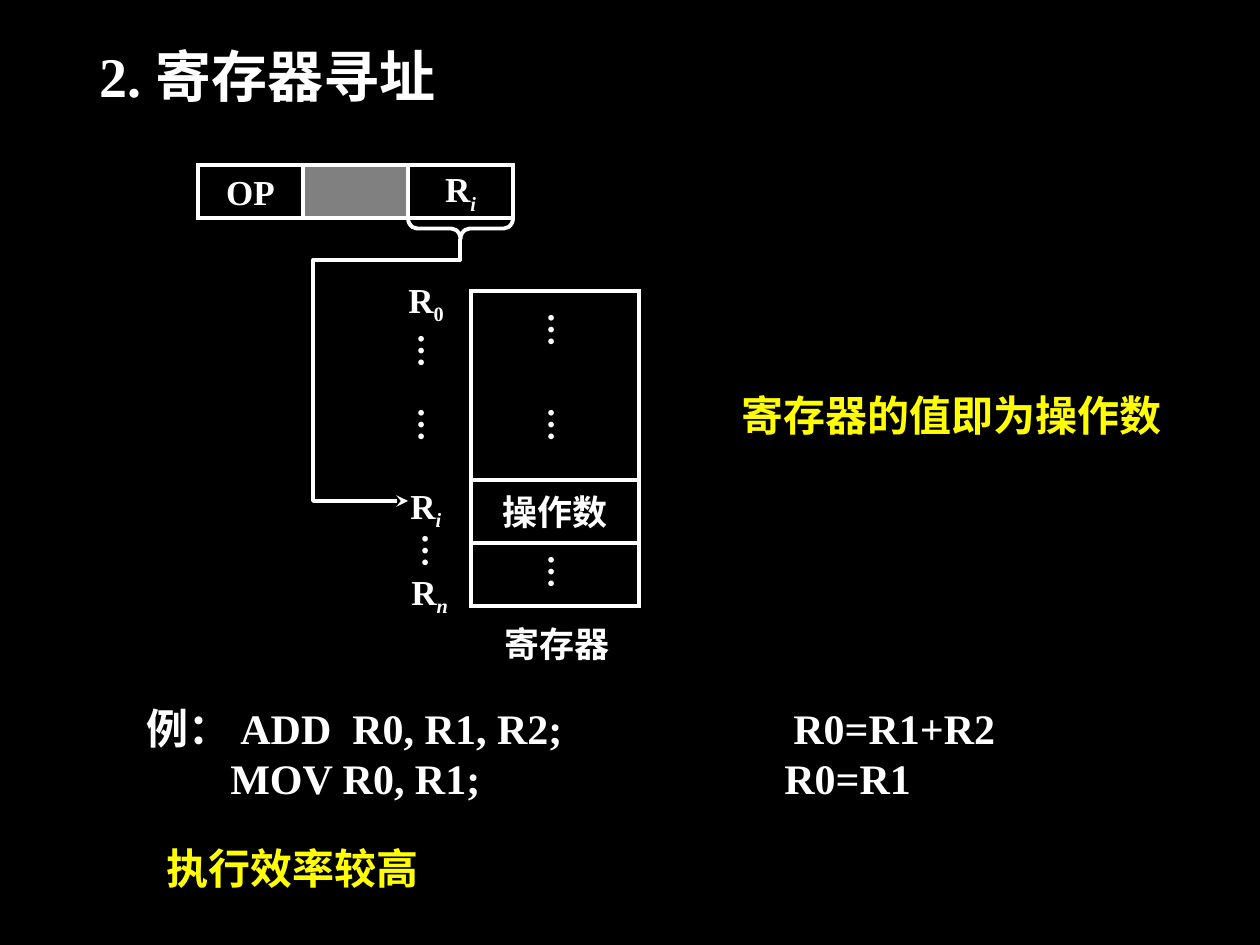
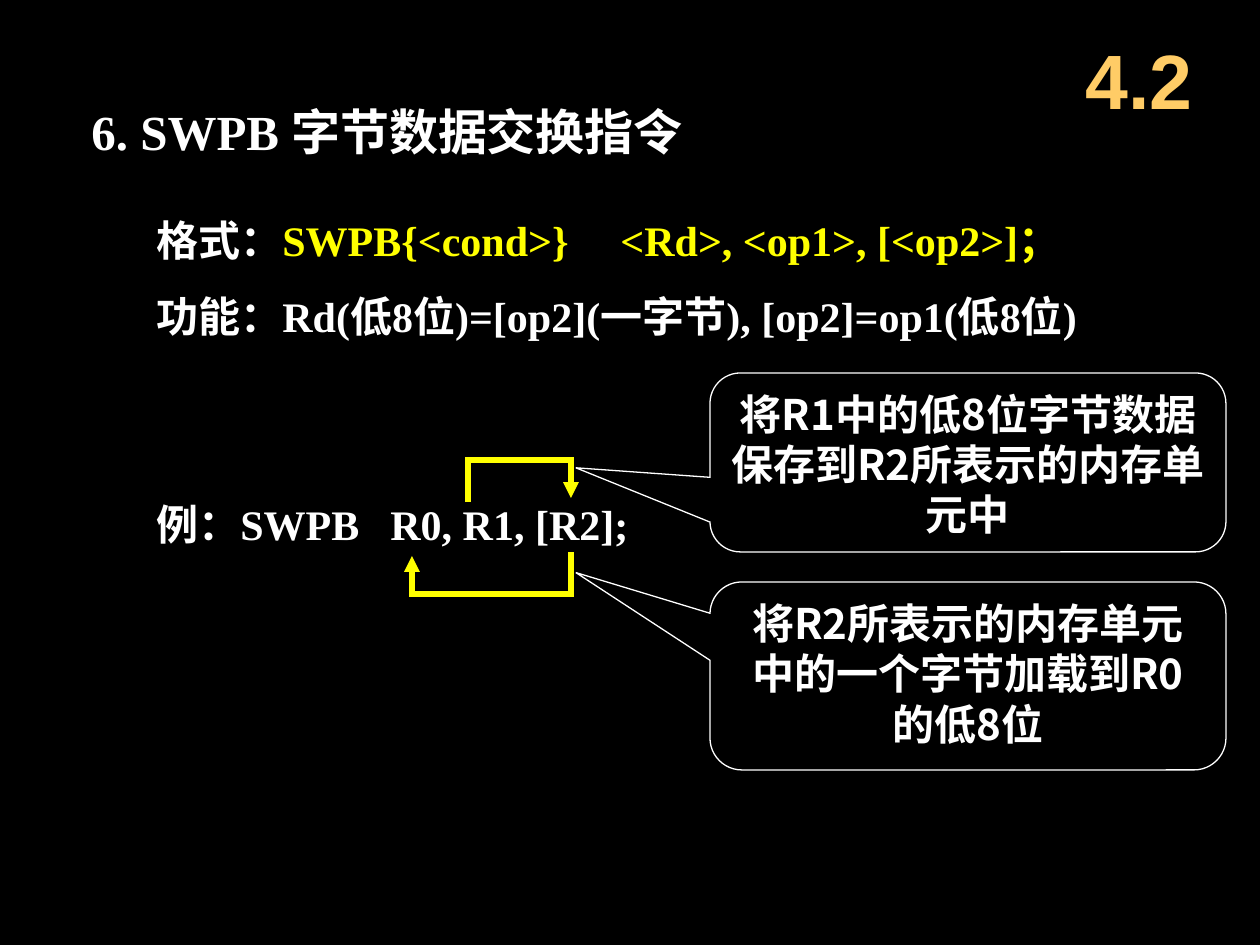
from lxml.etree import SubElement
from pptx import Presentation
from pptx.dml.color import RGBColor
from pptx.enum.shapes import MSO_SHAPE
from pptx.enum.text import MSO_ANCHOR, MSO_AUTO_SIZE, PP_ALIGN
from pptx.oxml.ns import qn
from pptx.util import Emu, Pt

COLORS = {"black": "000000", "white": "FFFFFF", "yellow": "FFFF00", "gold": "FFCC66"}
SERIF, SANS, ARIAL = "Times New Roman", "Noto Sans CJK SC", "Arial"
PX = 914400 / 126

TITLE = {"wrap": False}
BODY = {"size": 24}
NOTE = {"size": 24, "color": "yellow"}
LABEL = {"size": 20, "wrap": False}
CALLOUT = {"size": 24, "font": SANS, "align": PP_ALIGN.CENTER, "grow": False}
CELL = {"size": 20, "wrap": False, "align": PP_ALIGN.CENTER,
        "anchor": MSO_ANCHOR.MIDDLE, "grow": False}

REGISTER_TEXTS = [
    ((87, 35, 400, 81), ["2. 寄存器寻址"], {**TITLE, "size": 32}),
    ((729, 383, 496, 63), ["寄存器的值即为操作数"], NOTE),
    ((134, 696, 1072, 113),
     ["例：\tADD\tR0, R1, R2;\tR0=R1+R2", "\tMOV R0, R1;\tR0=R1"],
     {**BODY, "tabs": [(94, 206, 647), (84, 638)]}),
    ((154, 836, 912, 63), ["执行效率较高"], {**NOTE, "font": SANS}),
    ((492, 616, 168, 55), ["寄存器"], {"size": 20}),
]
INSTRUCTION = {"left": 198, "top": 165, "width": 105, "height": 53}
INSTRUCTION_FIELDS = ["OP", None, [("R", {}), ("i", {"sub": True, "italic": True})]]
MEMORY = {"left": 471, "top": 291, "width": 168}
MEMORY_CELLS = [(189, None), (63, "操作数"), (63, None)]
REGISTER_NAMES = [((396, 272), "0", False), ((398, 478), "i", True), ((399, 564), "n", True)]
REGISTER_NAME_SIZE = (76, 60)
ELLIPSES = [(523, 300), (523, 395), (523, 542), (393, 321), (393, 395), (397, 521)]
REGISTER_PATH = [(460, 239), (460, 260), (313, 260), (313, 501), (408, 501)]

SWAP_TEXTS = [
    ((79, 95, 650, 72), ["6. SWPB 字节数据交换指令"], {**TITLE, "size": 28}),
    ((144, 208, 1012, 190),
     [[("格式：", {}), ("SWPB{<cond>}\t<Rd>, <op1>, [<op2>]；", {"color": "yellow"})],
      "功能：Rd(低8位)=[op2](一字节), [op2]=op1(低8位)"],
     {**BODY, "tabs": [(464,), ()], "gap": 15}),
    ((144, 492, 665, 63), ["例：SWPB\tR0, R1, [R2];"], {**BODY, "tabs": [(234,)]}),
    ((1060, 21, 158, 116), ["4.2"],
     {"size": 44, "font": ARIAL, "color": "gold", "align": PP_ALIGN.CENTER,
      "anchor": MSO_ANCHOR.MIDDLE, "grow": False}),
]
SWAP_PATHS = [
    [(468, 502), (468, 460), (571, 460), (571, 498)],
    [(571, 552), (571, 594), (412, 594), (412, 556)],
]
SWAP_CALLOUTS = [
    ((710, 582, 516, 188), (-0.76, -0.55, 0.17),
     "将R2所表示的内存单元中的一个字节加载到R0的低8位"),
    ((710, 373, 516, 179), (-0.76, 0.03, 0.17),
     "将R1中的低8位字节数据保存到R2所表示的内存单元中"),
]


def px(value):
    return Emu(round(value * PX))


def rgb(name):
    return RGBColor.from_string(COLORS[name])


def add_run(paragraph, text, style):
    run = paragraph.add_run()
    run.text = text
    formats = {"name": style.get("font", SERIF), "size": Pt(style["size"]),
               "bold": True, "italic": style.get("italic")}
    for name, value in formats.items():
        setattr(run.font, name, value)
    run.font.color.rgb = rgb(style.get("color", "white"))
    properties = run.font._element
    SubElement(properties, qn("a:ea")).set("typeface", SANS)
    if style.get("sub"):
        properties.set("baseline", "-25000")


def add_tabs(paragraph, stops):
    tab_list = SubElement(paragraph._p.get_or_add_pPr(), qn("a:tabLst"))
    for stop in stops:
        tab = SubElement(tab_list, qn("a:tab"))
        tab.set("pos", str(px(stop)))
        tab.set("algn", "l")


def write(shape, paragraphs, style):
    frame = shape.text_frame
    formats = {
        "word_wrap": style.get("wrap", True),
        "vertical_anchor": style.get("anchor", MSO_ANCHOR.TOP),
        "auto_size": MSO_AUTO_SIZE.SHAPE_TO_FIT_TEXT if style.get("grow", True)
        else MSO_AUTO_SIZE.NONE,
    }
    for name, value in formats.items():
        setattr(frame, name, value)
    for index, content in enumerate(paragraphs):
        paragraph = frame.add_paragraph() if index else frame.paragraphs[0]
        paragraph.alignment = style.get("align", PP_ALIGN.LEFT)
        if index and "gap" in style:
            paragraph.space_before = Pt(style["gap"])
        if style.get("tabs") and style["tabs"][index]:
            add_tabs(paragraph, style["tabs"][index])
        runs = [(content, {})] if isinstance(content, str) else content
        for text, changes in runs:
            add_run(paragraph, text, {**style, **changes})


def add_text(slide, box, paragraphs, style):
    shape = slide.shapes.add_textbox(*map(px, box))
    write(shape, paragraphs, style)
    return shape


def outline(shape, width, color="white", join="miter"):
    shape.shadow.inherit = False
    shape.fill.background()
    shape.line.color.rgb = rgb(color)
    shape.line.width = Pt(width)
    SubElement(shape.line._get_or_add_ln(), qn("a:" + join))


def add_outlined(slide, kind, box, width):
    shape = slide.shapes.add_shape(kind, *map(px, box))
    outline(shape, width)
    return shape


def add_cell(slide, box, content):
    cell = add_outlined(slide, MSO_SHAPE.RECTANGLE, box, 2.25)
    if content:
        write(cell, [content], CELL)
    return cell


def add_path(slide, points, width, color, join, arrowhead):
    builder = slide.shapes.build_freeform(*points[0], scale=PX)
    builder.add_line_segments(points[1:], close=False)
    path = builder.convert_to_shape()
    outline(path, width, color, join)
    SubElement(path.line._get_or_add_ln(), qn("a:tailEnd")).set("type", arrowhead)


def add_slide(presentation, texts):
    slide = presentation.slides.add_slide(presentation.slide_layouts[6])
    slide.background.fill.solid()
    slide.background.fill.fore_color.rgb = rgb("black")
    for box, paragraphs, style in texts:
        add_text(slide, box, paragraphs, style)
    return slide


def add_instruction(slide):
    left, top, width, height = INSTRUCTION.values()
    for index, content in enumerate(INSTRUCTION_FIELDS):
        cell = add_cell(slide, (left + index * width, top, width, height), content)
        if content is None:
            cell.fill.solid()
            cell.fill.fore_color.rgb = rgb("white")
            color = cell._element.spPr.find(qn("a:solidFill"))[0]
            SubElement(color, qn("a:alpha")).set("val", "50000")
    brace = add_outlined(slide, MSO_SHAPE.LEFT_BRACE, (450, 176, 21, width), 2.25)
    brace.rotation = 270
    brace.adjustments[0] = 0.44


def add_memory(slide):
    top = MEMORY["top"]
    for height, content in MEMORY_CELLS:
        add_cell(slide, (MEMORY["left"], top, MEMORY["width"], height), content)
        top += height
    for left, top in ELLIPSES:
        ellipsis = add_text(slide, (left, top, 67, 48), ["…"], LABEL)
        frame = ellipsis.text_frame
        margins = {"margin_left": 6, "margin_right": 6, "margin_top": 13, "margin_bottom": 13}
        for name, value in margins.items():
            setattr(frame, name, px(value))
        frame._txBody.bodyPr.set("vert", "eaVert")
    for position, index, italic in REGISTER_NAMES:
        name = [("R", {}), (index, {"sub": True, "italic": italic})]
        add_text(slide, position + REGISTER_NAME_SIZE, [name], LABEL)


def main():
    presentation = Presentation()
    presentation.slide_width, presentation.slide_height = px(1260), px(945)

    register_slide = add_slide(presentation, REGISTER_TEXTS)
    add_instruction(register_slide)
    add_path(register_slide, REGISTER_PATH, 2.25, "white", "round", "stealth")
    add_memory(register_slide)

    swap_slide = add_slide(presentation, SWAP_TEXTS)
    for points in SWAP_PATHS:
        add_path(swap_slide, points, 3, "yellow", "miter", "triangle")
    for box, adjustments, text in SWAP_CALLOUTS:
        callout = add_outlined(swap_slide, MSO_SHAPE.ROUNDED_RECTANGULAR_CALLOUT, box, 0.75)
        for index, value in enumerate(adjustments):
            callout.adjustments[index] = value
        write(callout, [text], CALLOUT)

    presentation.save("out.pptx")


if __name__ == "__main__":
    main()
